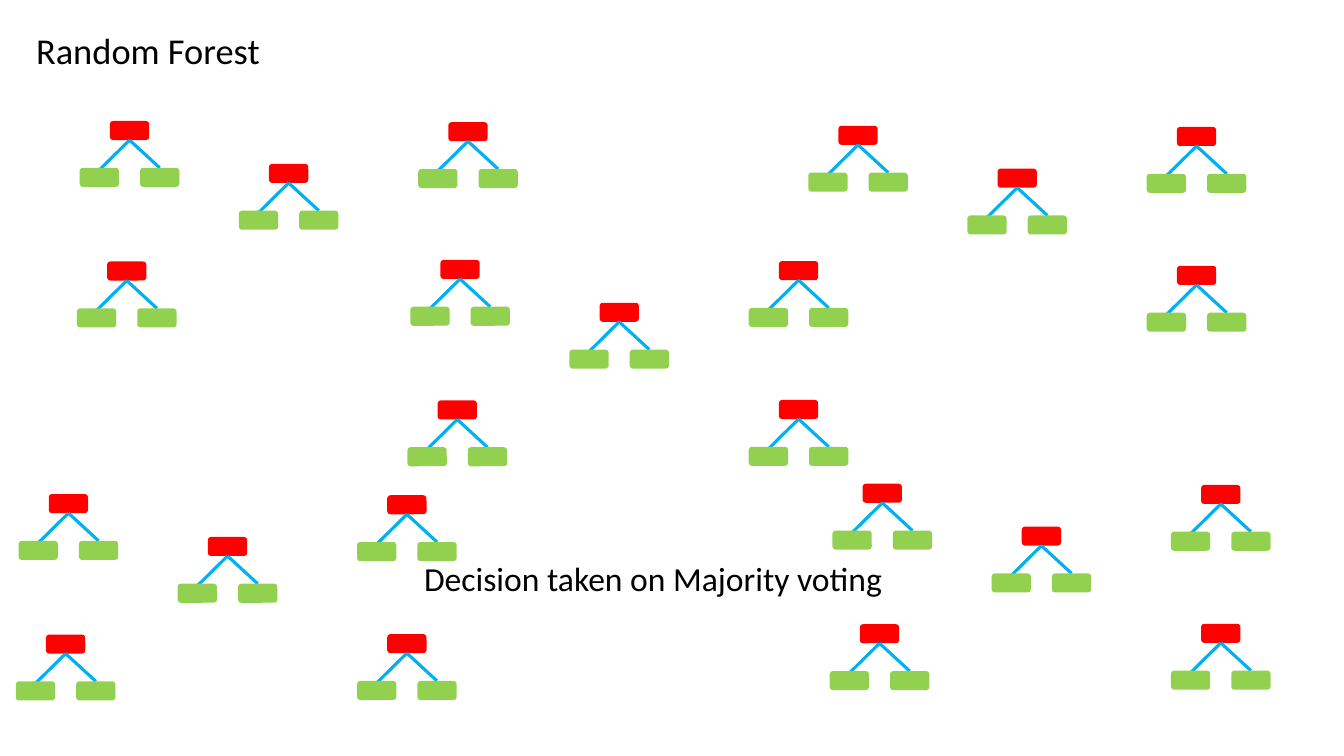
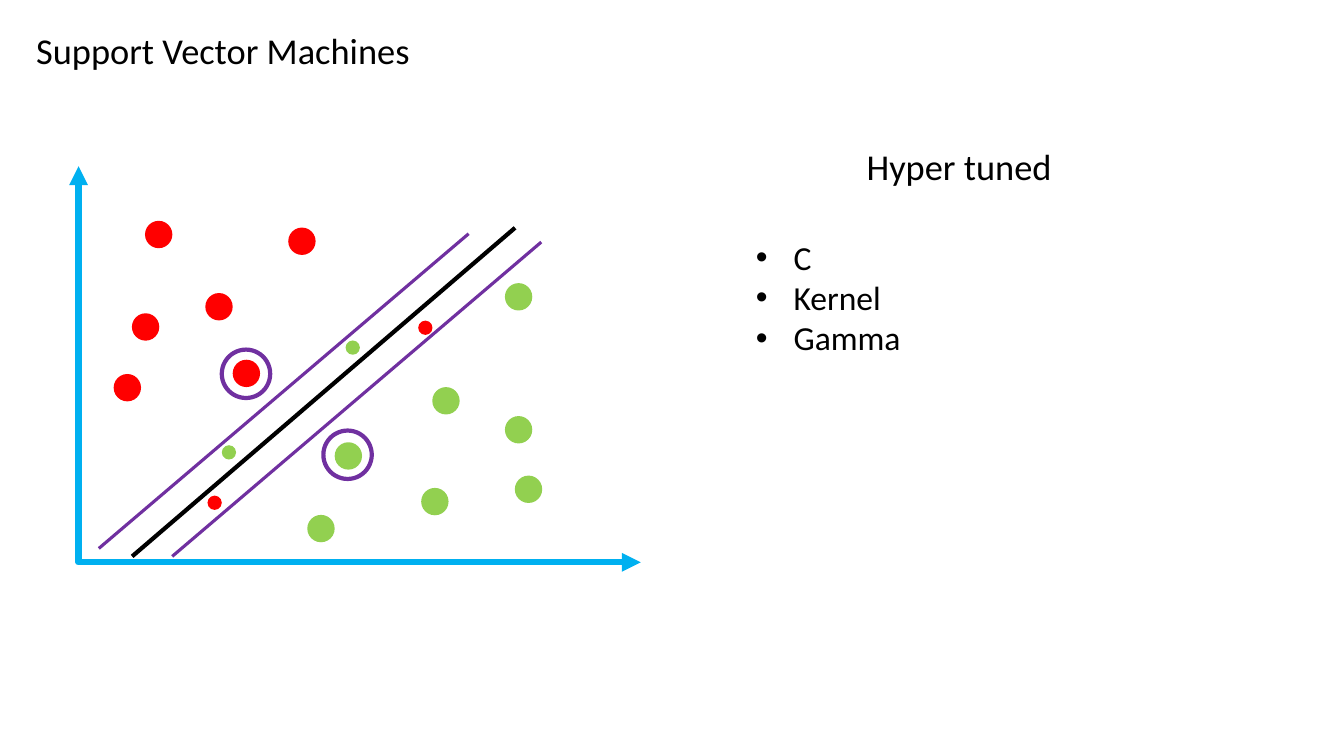
from lxml import etree
from pptx import Presentation
from pptx.dml.color import RGBColor
from pptx.enum.shapes import MSO_CONNECTOR, MSO_SHAPE
from pptx.enum.text import MSO_AUTO_SIZE, PP_ALIGN
from pptx.oxml.ns import qn
from pptx.util import Cm, Pt

STRAIGHT, ELBOW = MSO_CONNECTOR.STRAIGHT, MSO_CONNECTOR.ELBOW
ROUNDED, OVAL = MSO_SHAPE.ROUNDED_RECTANGLE, MSO_SHAPE.OVAL
LEFT, CENTER = PP_ALIGN.LEFT, PP_ALIGN.CENTER
FIT_TEXT = MSO_AUTO_SIZE.SHAPE_TO_FIT_TEXT

# Shared look (lengths in cm, text and lines in points)
FONT = "Calibri"
BLACK, RED, GREEN, BLUE, PURPLE = "000000", "FF0000", "92D050", "00B0F0", "7030A0"
TITLE_BOX = (0.66, 0.58, 12, 1.37)
HEADING_SIZE, BODY_SIZE = 26, 24
BULLET_INDENT = 0.95

# Random forest: every grove repeats the same five places, some left empty
FOREST_TITLE = "Random Forest"
VOTING = "Decision taken on Majority voting"
VOTING_BOX = (10.26, 13.94, 12.4, 1.27)
GROVE_PLACES = [(0, 0), (4.01, 1.08), (8.53, 0.03), (-0.07, 3.54), (8.53, 3.53)]
GROVES = [  # left, top, places in use
    (11.1, 6.55, (0, 1, 2, 3, 4)),
    (2.77, 3.05, (0, 1, 2, 3)),
    (1.23, 12.45, (0, 1, 2, 3, 4)),
    (21.74, 12.19, (0, 1, 2, 3, 4)),
    (21.13, 3.17, (0, 1, 2, 4)),
]
NODE_W, NODE_H = 0.99, 0.48
LEAF_DROP = 1.18
BRANCHES = [(-0.76, 0.75), (0.76, 0.7)]  # leaf shift, branch height

# Support vector machines: centres of the points, ends of the lines
SVM_TITLE = "Support Vector Machines"
TUNING = "Hyper tuned"
TUNING_BOX = (21.59, 3.51, 7.04, 1.37)
PARAMETERS = ["C", "Kernel", "Gamma"]
PARAMETERS_BOX = (18.8, 5.84, 4.19, 4.37)
AXES = (1.98, 4.19, 16.15, 14.17)
POINT, OUTLIER, RING = 0.69, 0.36, 1.22
POINTS = [  # diameter, colour, centres
    (POINT, GREEN, [(8.78, 11.49), (13.07, 7.48), (13.07, 10.83), (8.09, 13.32),
                    (11.24, 10.1), (13.32, 12.33), (10.96, 12.64)]),
    (POINT, RED, [(3.67, 8.24), (3.21, 9.77), (6.21, 9.41), (5.52, 7.73),
                  (7.61, 6.08), (4, 5.91)]),
    (OUTLIER, RED, [(5.41, 12.67), (10.72, 8.26)]),
    (OUTLIER, GREEN, [(8.89, 8.76), (5.77, 11.4)]),
]
SUPPORT_VECTORS = [(6.2, 9.42), (8.76, 11.46)]
BOUNDARIES = [  # ends, colour, width
    ((2.49, 13.82, 11.81, 5.89), PURPLE, 2.25),
    ((4.34, 14.02, 13.64, 6.1), PURPLE, 2.25),
    ((3.33, 14.02, 12.98, 5.74), BLACK, 3),
]


def rgb(color):
    return RGBColor.from_string(color)


def add_text(slide, box, lines, size, align=LEFT, bullets=False):
    frame = slide.shapes.add_textbox(*map(Cm, box)).text_frame
    frame.word_wrap = True
    frame.auto_size = FIT_TEXT
    frame.text = "\n".join(lines)
    for paragraph in frame.paragraphs:
        paragraph.alignment = align
        paragraph.font.name = FONT
        paragraph.font.size = Pt(size)
        paragraph.font.color.rgb = rgb(BLACK)
        if bullets:
            props = paragraph._p.get_or_add_pPr()
            props.set("marL", str(Cm(BULLET_INDENT)))
            props.set("indent", str(-Cm(BULLET_INDENT)))
            bullet_font = etree.Element(qn("a:buFont"), typeface="Arial")
            bullet = etree.Element(qn("a:buChar"), char="•")
            props.insert(0, bullet_font)
            props.insert(1, bullet)


def add_figure(shapes, kind, box, fill=None, outline=None, width=3):
    figure = shapes.add_shape(kind, *map(Cm, box))
    figure.shadow.inherit = False
    if fill:
        figure.fill.solid()
        figure.fill.fore_color.rgb = rgb(fill)
    else:
        figure.fill.background()
    if outline:
        figure.line.color.rgb = rgb(outline)
        figure.line.width = Pt(width)
    else:
        figure.line.fill.background()


def add_line(shapes, ends, color, width, kind=STRAIGHT):
    line = shapes.add_connector(kind, *map(Cm, ends))
    line.line.color.rgb = rgb(color)
    line.line.width = Pt(width)
    etree.SubElement(line._element.spPr, qn("a:effectLst"))
    return line


def add_circle(slide, center, diameter, **style):
    x, y = center
    box = (x - diameter / 2, y - diameter / 2, diameter, diameter)
    add_figure(slide.shapes, OVAL, box, **style)


def add_tree(slide, left, top):
    tree = slide.shapes.add_group_shape().shapes
    middle, bottom = left + NODE_W / 2, top + NODE_H
    add_figure(tree, ROUNDED, (left, top, NODE_W, NODE_H), RED)
    for shift, height in BRANCHES:
        add_line(tree, (middle, bottom, middle + shift, bottom + height), BLUE, 2.25)
    for shift, _ in BRANCHES:
        add_figure(tree, ROUNDED, (left + shift, top + LEAF_DROP, NODE_W, NODE_H), GREEN)


def add_axes(slide):
    axes = add_line(slide.shapes, AXES, BLUE, 4.5, ELBOW)
    # Put the bend at the left edge, with an arrowhead at both ends
    guides = axes._element.spPr.find(qn("a:prstGeom")).get_or_add_avLst()
    etree.SubElement(guides, qn("a:gd"), name="adj1", fmla="val 0")
    outline = axes.line._get_or_add_ln()
    for end in ("a:headEnd", "a:tailEnd"):
        etree.SubElement(outline, qn(end), type="triangle")


def new_slide(deck, title):
    slide = deck.slides.add_slide(deck.slide_layouts[6])
    add_text(slide, TITLE_BOX, [title], HEADING_SIZE)
    return slide


def build_forest(deck):
    slide = new_slide(deck, FOREST_TITLE)
    add_text(slide, VOTING_BOX, [VOTING], BODY_SIZE, CENTER)
    for left, top, places in GROVES:
        for place in places:
            dx, dy = GROVE_PLACES[place]
            add_tree(slide, left + dx, top + dy)


def build_svm(deck):
    slide = new_slide(deck, SVM_TITLE)
    add_text(slide, TUNING_BOX, [TUNING], HEADING_SIZE)
    add_text(slide, PARAMETERS_BOX, PARAMETERS, BODY_SIZE, bullets=True)
    add_axes(slide)
    for ends, color, width in BOUNDARIES:
        add_line(slide.shapes, ends, color, width)
    for diameter, color, centers in POINTS:
        for center in centers:
            add_circle(slide, center, diameter, fill=color)
    for center in SUPPORT_VECTORS:
        add_circle(slide, center, RING, outline=PURPLE)


def main():
    deck = Presentation()
    deck.slide_width, deck.slide_height = Cm(33.87), Cm(19.05)
    build_forest(deck)
    build_svm(deck)
    deck.save("out.pptx")


if __name__ == "__main__":
    main()
